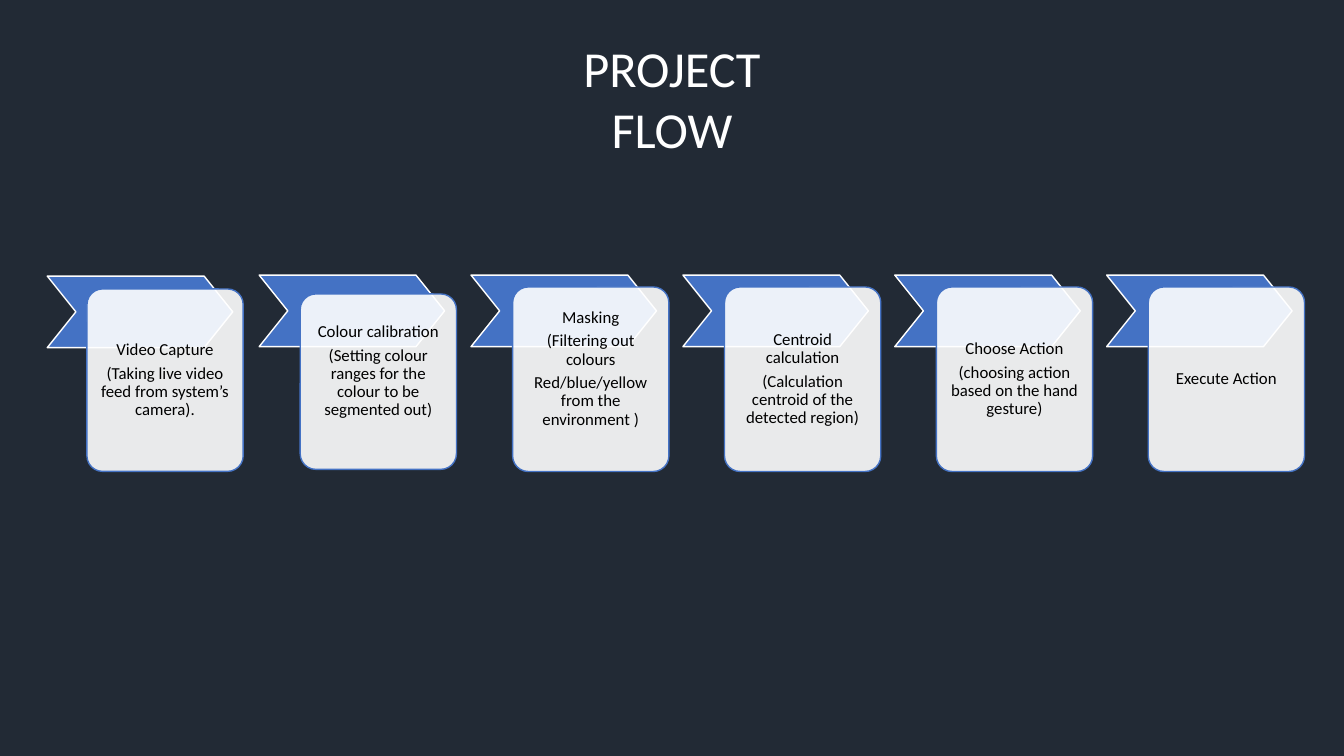
from lxml import etree
from pptx import Presentation
from pptx import util as u
from pptx.dml.color import RGBColor
from pptx.enum import shapes, text
from pptx.oxml.ns import qn

Pt = u.Pt
NAVY = RGBColor(0x22, 0x2A, 0x35)
BLUE = RGBColor(0x44, 0x72, 0xC4)
WHITE = RGBColor(0xFF, 0xFF, 0xFF)
BLACK = RGBColor(0, 0, 0)

# Card frame relative to its chevron: left, top, width, height
CARD = (29.7, 8.5, 111.6, 131.8)
# Paragraphs, card frame, extra space under the text
STEPS = [
    (["Video Capture", "(Taking live video feed from system’s camera)."],
     (28.3, 9.2, 111.6, 130.3), 0),
    (["Colour calibration",
      "(Setting colour ranges for the colour to be segmented out)"],
     (29.3, 13.5, 111.6, 125.3), 15),
    (["Masking", "(Filtering out colours",
      "Red/blue/yellow from the environment )"], CARD, 15),
    (["Centroid calculation", "(Calculation centroid of the detected region)"],
     CARD, 0),
    (["Choose Action", "(choosing action based on the hand gesture)"], CARD, 0),
    (["Execute Action"], CARD, 0),
]


def write(tf, paragraphs, size, color, spacing=1.0, after=0,
          anchor=text.MSO_ANCHOR.MIDDLE, insets=(7.2, 3.6, 7.2, 3.6)):
    """Fill a text frame with centred paragraphs."""
    tf.word_wrap = True
    tf.auto_size = text.MSO_AUTO_SIZE.NONE
    tf.vertical_anchor = anchor
    (tf.margin_left, tf.margin_top,
     tf.margin_right, tf.margin_bottom) = map(Pt, insets)
    for i, line in enumerate(paragraphs):
        p = tf.paragraphs[0] if i == 0 else tf.add_paragraph()
        p.alignment = text.PP_ALIGN.CENTER
        p.line_spacing = spacing
        p.space_before = Pt(0)
        p.space_after = Pt(after)
        r = p.add_run()
        r.text = line
        r.font.name, r.font.size = "Calibri", Pt(size)
        r.font.color.rgb = color


def add_block(parent, kind, box, adj, fill, line):
    sp = parent.shapes.add_shape(kind, *map(Pt, box))
    sp.adjustments[0] = adj
    sp.shadow.inherit = False
    sp.fill.solid()
    sp.fill.fore_color.rgb = fill
    sp.line.color.rgb = line
    sp.line.width = Pt(1)
    return sp


def add_title(s, x, y, w, h):
    sp = s.shapes.title
    sp.left, sp.top, sp.width, sp.height = map(Pt, (x, y, w, h))
    write(sp.text_frame, ["PROJECT FLOW"], 36, WHITE,
          anchor=text.MSO_ANCHOR.TOP, insets=(14, 3.6, 14, 3.6))


def add_step(parent, x, y, w, h, paragraphs, frame, below):
    # Arrow behind
    add_block(parent, shapes.MSO_SHAPE.CHEVRON, (x, y, w, h), 0.4, BLUE, WHITE)
    # Translucent card with the text
    dx, dy, cw, ch = frame
    card = add_block(parent, shapes.MSO_SHAPE.ROUNDED_RECTANGLE,
                     (x + dx, y + dy, cw, ch), 0.1, WHITE, BLUE)
    clr = card.fill._xPr.find(qn("a:solidFill"))[0]
    etree.SubElement(clr, qn("a:alpha")).set("val", "90000")
    write(card.text_frame, paragraphs, 12, BLACK, spacing=0.9, after=4,
          insets=(6.5, 6.5, 6.5, 6.5 + below))


def add_flow(s, x, y, w, h):
    """Spread the steps evenly over the width; h is the arrow height."""
    arrow_w = 132.5
    pitch = (w - arrow_w) / (len(STEPS) - 1)
    grp = s.shapes.add_group_shape()
    for i, step in enumerate(STEPS):
        # The first step sits slightly lower
        top = y + (0.7 if i == 0 else 0)
        add_step(grp, x + i * pitch, top, arrow_w, h, *step)


def main():
    prs = Presentation()
    prs.slide_width, prs.slide_height = Pt(960), Pt(540)
    s = prs.slides.add_slide(prs.slide_layouts[5])
    s.background.fill.solid()
    s.background.fill.fore_color.rgb = NAVY
    add_title(s, 364, 23, 232, 94.5)
    add_flow(s, 33.8, 196.5, 889.2, 51.1)
    prs.save("out.pptx")


if __name__ == "__main__":
    main()
